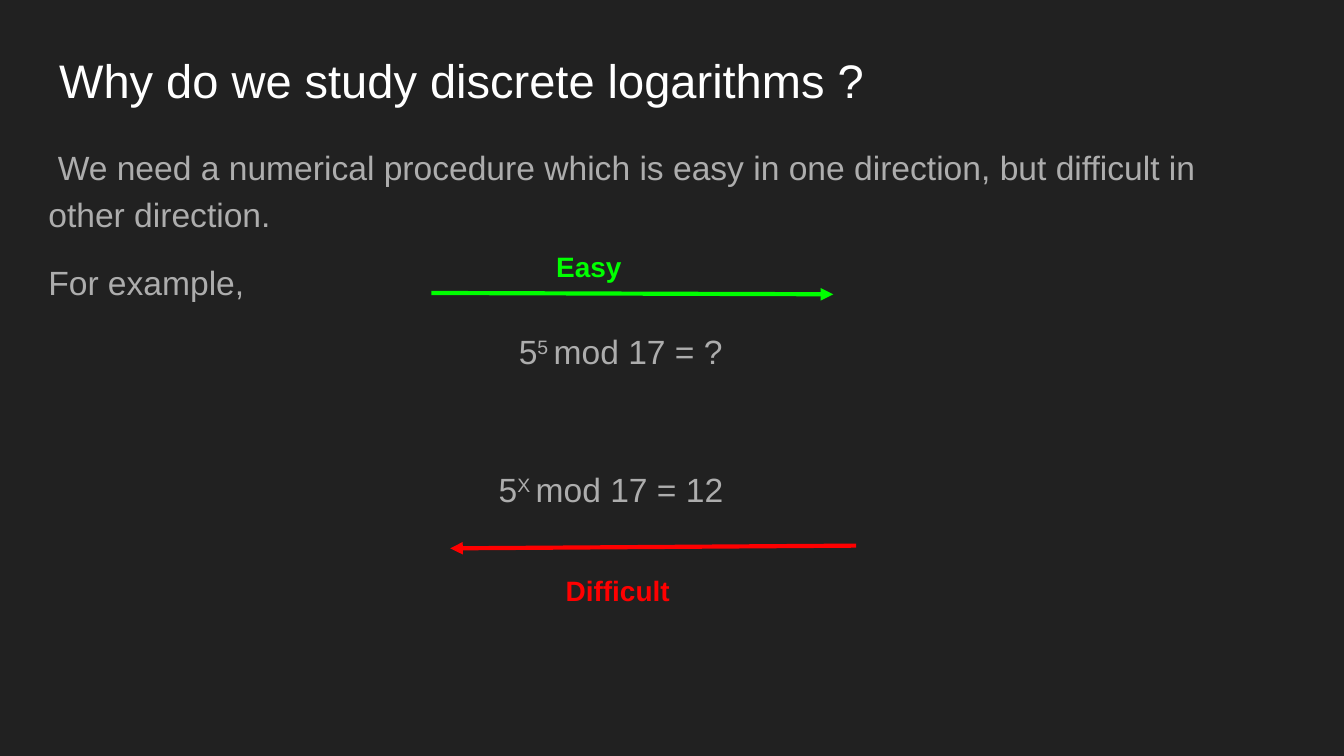
from dataclasses import dataclass

from lxml.etree import SubElement
from pptx import Presentation
from pptx.dml.color import RGBColor as Rgb
from pptx.enum.shapes import MSO_CONNECTOR as Connector
from pptx.enum.text import MSO_ANCHOR as Anchor
from pptx.enum.text import MSO_AUTO_SIZE as AutoSize
from pptx.enum.text import PP_ALIGN as Align
from pptx.oxml.ns import qn
from pptx.slide import Slide
from pptx.util import Inches, Pt


@dataclass(frozen=True)
class Theme:
    background: str = "212121"
    heading: str = "FFFFFF"
    body: str = "ADADAD"
    easy: str = "00FF00"
    difficult: str = "FF0000"
    font: str = "Arial"
    heading_size: float = 25.2
    body_size: float = 18
    label_size: float = 15
    arrow_width: float = 2.25
    line_spacing: float = 1.15
    superscript: int = 30


@dataclass(frozen=True)
class Statement:
    text: str
    exponent: str = ""
    rest: str = ""
    margin: float = 0
    indent: float = 0
    before: float = 12
    after: float = 0


@dataclass(frozen=True)
class Direction:
    label: str
    color: str
    start: tuple[float, float]
    end: tuple[float, float]
    box: tuple[float, float, float, float]


THEME = Theme()
STATEMENTS = (
    Statement(
        "We need a numerical procedure which is easy in one direction, "
        "but difficult in other direction.",
        indent=0.07,
        before=0,
    ),
    Statement("For example,"),
    Statement("5", "5 ", "mod 17 = ?", margin=3, indent=0.5),
    Statement("5", "X ", "mod 17 = 12", margin=3, indent=0.35, before=49, after=12),
)
DIRECTIONS = (
    Direction("Easy", THEME.easy, (3.21, 2.18), (6.2, 2.19), (4.04, 1.76, 1.21, 0.45)),
    Direction("Difficult", THEME.difficult, (6.37, 4.06), (3.35, 4.08), (4.11, 4.17, 1.88, 0.45)),
)


def add_text(paragraph, text: str, *, size: float, color: str,
             bold: bool = False, baseline: int = 0) -> None:
    run = paragraph.add_run()
    run.text = text
    font = run.font
    font.name = THEME.font
    font.size = Pt(size)
    font.bold = bold
    font.color.rgb = Rgb.from_string(color)
    if baseline:
        font._element.set("baseline", str(baseline * 1000))


def place(shape, left: float, top: float, width: float, height: float) -> None:
    shape.left, shape.top = Inches(left), Inches(top)
    shape.width, shape.height = Inches(width), Inches(height)


def prepare_frame(frame, anchor: Anchor = Anchor.TOP,
                  fit: AutoSize = AutoSize.NONE) -> None:
    frame.word_wrap = True
    frame.auto_size = fit
    frame.vertical_anchor = anchor
    frame.margin_left = frame.margin_right = Inches(0.1)
    frame.margin_top = frame.margin_bottom = Inches(0.1)


def write_heading(slide: Slide) -> None:
    heading = slide.shapes.title
    place(heading, 0.34, 0.28, 9.32, 0.63)
    prepare_frame(heading.text_frame, Anchor.MIDDLE)
    paragraph = heading.text_frame.paragraphs[0]
    paragraph.alignment = Align.LEFT
    add_text(paragraph, "Why do we study discrete logarithms ?",
             size=THEME.heading_size, color=THEME.heading)


def write_statement(paragraph, statement: Statement) -> None:
    paragraph.alignment = Align.LEFT
    paragraph.line_spacing = THEME.line_spacing
    paragraph.space_before = Pt(statement.before)
    paragraph.space_after = Pt(statement.after)
    properties = paragraph._p.get_or_add_pPr()
    properties.set("marL", str(Inches(statement.margin)))
    properties.set("indent", str(Inches(statement.indent)))
    SubElement(properties, qn("a:buNone"))
    parts = ((statement.text, 0), (statement.exponent, THEME.superscript), (statement.rest, 0))
    for text, baseline in parts:
        if text:
            add_text(paragraph, text, size=THEME.body_size, color=THEME.body, baseline=baseline)


def write_body(slide: Slide) -> None:
    body = slide.placeholders[1]
    place(body, 0.26, 0.95, 9.32, 3.74)
    frame = body.text_frame
    prepare_frame(frame)
    for index, statement in enumerate(STATEMENTS):
        paragraph = frame.add_paragraph() if index else frame.paragraphs[0]
        write_statement(paragraph, statement)


def draw_direction(slide: Slide, direction: Direction) -> None:
    ends = (Inches(value) for value in direction.start + direction.end)
    arrow = slide.shapes.add_connector(Connector.STRAIGHT, *ends)
    arrow.line.color.rgb = Rgb.from_string(direction.color)
    arrow.line.width = Pt(THEME.arrow_width)
    SubElement(arrow.line._get_or_add_ln(), qn("a:tailEnd"), type="triangle")
    SubElement(arrow._element.spPr, qn("a:effectLst"))

    label = slide.shapes.add_textbox(*(Inches(value) for value in direction.box))
    prepare_frame(label.text_frame, fit=AutoSize.SHAPE_TO_FIT_TEXT)
    add_text(label.text_frame.paragraphs[0], direction.label,
             size=THEME.label_size, color=direction.color, bold=True)


def main() -> None:
    deck = Presentation()
    deck.slide_width = Inches(10)
    deck.slide_height = deck.slide_width * 9 // 16
    slide = deck.slides.add_slide(deck.slide_layouts[1])
    slide.background.fill.solid()
    slide.background.fill.fore_color.rgb = Rgb.from_string(THEME.background)
    write_heading(slide)
    write_body(slide)
    for direction in DIRECTIONS:
        draw_direction(slide, direction)
    deck.save("out.pptx")


if __name__ == "__main__":
    main()
